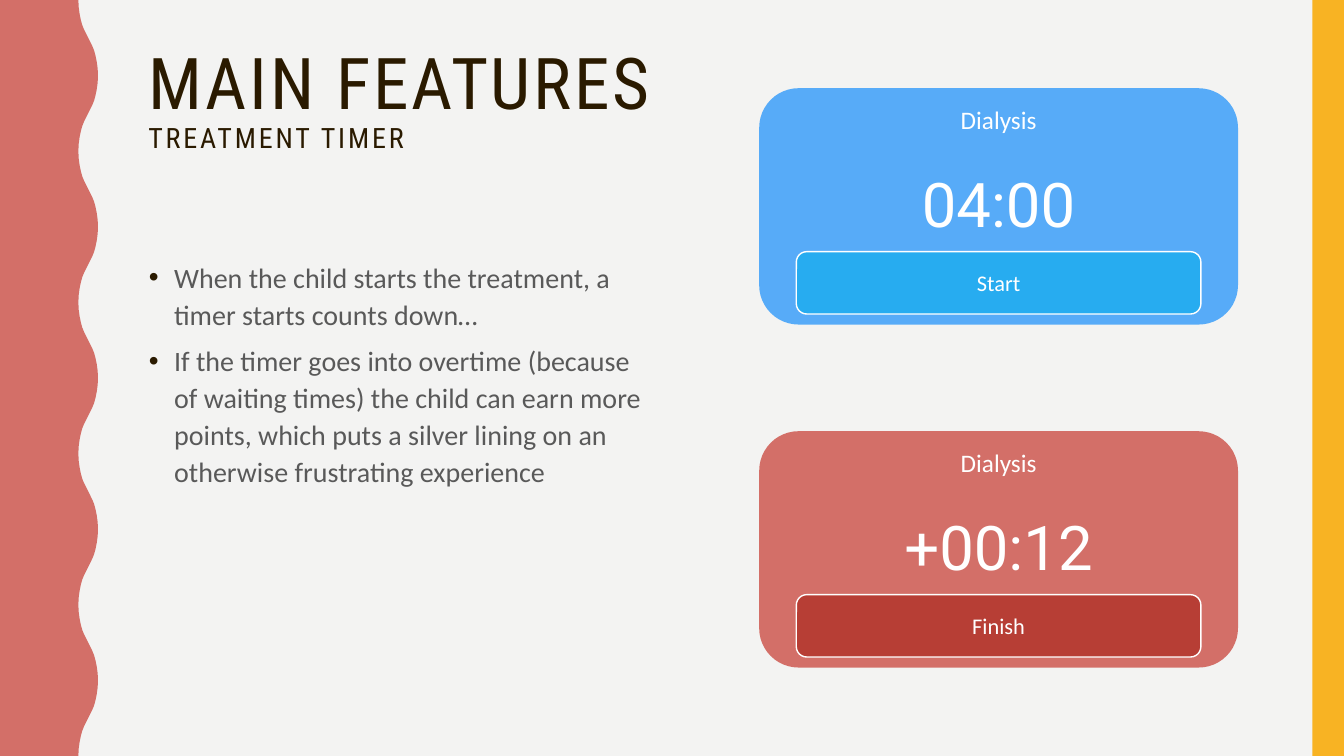
from dataclasses import dataclass

from lxml.etree import SubElement as Sub
from pptx import Presentation
from pptx.dml.color import RGBColor as Rgb
from pptx.enum.shapes import MSO_SHAPE as Kind
from pptx.enum.text import MSO_ANCHOR as Anchor, PP_ALIGN as Align
from pptx.oxml.ns import qn
from pptx.util import Pt


@dataclass(frozen=True)
class Theme:
    back: str = "F3F3F2"
    coral: str = "D36F68"
    gold: str = "F8B323"
    dark: str = "2A1A00"
    grey: str = "595959"
    white: str = "FFFFFF"
    blue: str = "57ABF8"
    sky: str = "27ACF0"
    red: str = "B73E35"
    body: str = "Calibri"
    head: str = "Roboto Condensed"
    clock: str = "Roboto"
    title: int = 51
    sub: int = 20
    text: int = 20
    label: int = 18
    time: int = 44
    button: int = 16


T = Theme()


def apply(item, form):
    for name, value in form.items():
        setattr(item, name, value)


def paint(shape, fill, line=None):
    shape.shadow.inherit = False
    shape.fill.solid()
    shape.fill.fore_color.rgb = Rgb.from_string(fill)
    if line:
        shape.line.color.rgb = Rgb.from_string(line)
        shape.line.width = Pt(1)
    else:
        shape.line.fill.background()


def write(para, text, size, color, name):
    run = para.add_run()
    run.text = text
    apply(run.font, {"size": Pt(size), "name": name})
    run.font.color.rgb = Rgb.from_string(color)
    return run


def block(slide, kind, box, fill, line=None):
    shape = slide.shapes.add_shape(kind, *map(Pt, box))
    paint(shape, fill, line)
    return shape


def frame(slide, box):
    text = slide.shapes.add_textbox(*map(Pt, box)).text_frame
    text.word_wrap = True
    return text


# Wavy band: a quarter wave, turned and mirrored into a full one
def wave(slide, box):
    left, top, width, height = box
    mid, half = width - 7, 54
    quart = [(-7, 0), (-6.8, 5), (-6.1, 10), (-5.2, 14.4),
             (-4.2, 18), (-3, 21), (-1.5, 24), (0, 27)]
    rise = quart + [(-x, half - y) for x, y in quart[-2::-1]]
    full = rise + [(x, 2 * half - y) for x, y in rise[-2::-1]]
    count = round(height / (2 * half))
    edge = [(mid + x, y + 2 * half * i) for i in range(count) for x, y in full]
    pen = slide.shapes.build_freeform(Pt(left), Pt(top))
    pen.add_line_segments([(Pt(left + x), Pt(top + y))
                           for x, y in edge + [(0, height)]])
    paint(pen.convert_to_shape(), T.coral)


# Two-line heading
def heading(slide, box, title, sub):
    para = frame(slide, box).paragraphs[0]
    para.line_spacing = 0.9
    first = write(para, title, T.title, T.dark, T.head)
    para.add_line_break()
    for run in (first, write(para, sub, T.sub, T.dark, T.head)):
        run.font._element.set("spc", "200")


# Bulleted text
def bullets(slide, box, items):
    text = frame(slide, box)
    for i, item in enumerate(items):
        para = text.add_paragraph() if i else text.paragraphs[0]
        prop = para._p.get_or_add_pPr()
        apply(para, {"line_spacing": 1.1, "space_before": Pt(7 if i else 0)})
        prop.set("marL", str(Pt(18)))
        prop.set("indent", str(-Pt(18)))
        Sub(Sub(prop, qn("a:buClr")), qn("a:srgbClr"), val=T.dark)
        Sub(prop, qn("a:buFont"), typeface="Arial")
        Sub(prop, qn("a:buChar"), char="•")
        write(para, item, T.text, T.grey, T.body)


# Timer card with its button
def card(slide, box, time, action, fill, accent):
    left, top, width, height = box
    text = block(slide, Kind.ROUNDED_RECTANGLE, box, fill).text_frame
    text.vertical_anchor = Anchor.TOP
    label, clock = text.paragraphs[0], text.add_paragraph()
    write(label, "Dialysis", T.label, T.white, T.body)
    write(clock, time, T.time, T.white, T.clock)
    clock.space_before = Pt(22)

    inset, tall = 26.5, 44.5
    place = left + inset, top + height - tall - 7.5, width - 2 * inset, tall
    text = block(slide, Kind.ROUNDED_RECTANGLE, place, accent, T.white).text_frame
    text.vertical_anchor = Anchor.MIDDLE
    press = text.paragraphs[0]
    write(press, action, T.button, T.white, T.body)
    for para in (label, clock, press):
        para.alignment = Align.CENTER


def main():
    deck = Presentation()
    wide, high = 960, 540
    apply(deck, {"slide_width": Pt(wide), "slide_height": Pt(high)})
    slide = deck.slides.add_slide(deck.slide_layouts[6])
    fill = slide.background.fill
    fill.solid()
    fill.fore_color.rgb = Rgb.from_string(T.back)

    # Side bands
    wave(slide, (0, 0, 70, high))
    block(slide, Kind.RECTANGLE, (wide - 22.5, 0, 22.5, high), T.gold)

    # Text
    bullets(slide, (99.3, 180, 378, 285), [
        "When the child starts the treatment, a timer starts counts down…",
        "If the timer goes into overtime (because of waiting times) the child "
        "can earn more points, which puts a silver lining on an otherwise "
        "frustrating experience",
    ])
    heading(slide, (98.9, 30.5, 801, 117), "MAIN FEATURES", "TREATMENT TIMER")

    # Timers
    cards = [("04:00", "Start", T.blue, T.sky),
             ("+00:12", "Finish", T.coral, T.red)]
    for i, parts in enumerate(cards):
        card(slide, (542.3, 63 + 245 * i, 342, 168.8), *parts)

    deck.save("out.pptx")


if __name__ == "__main__":
    main()
